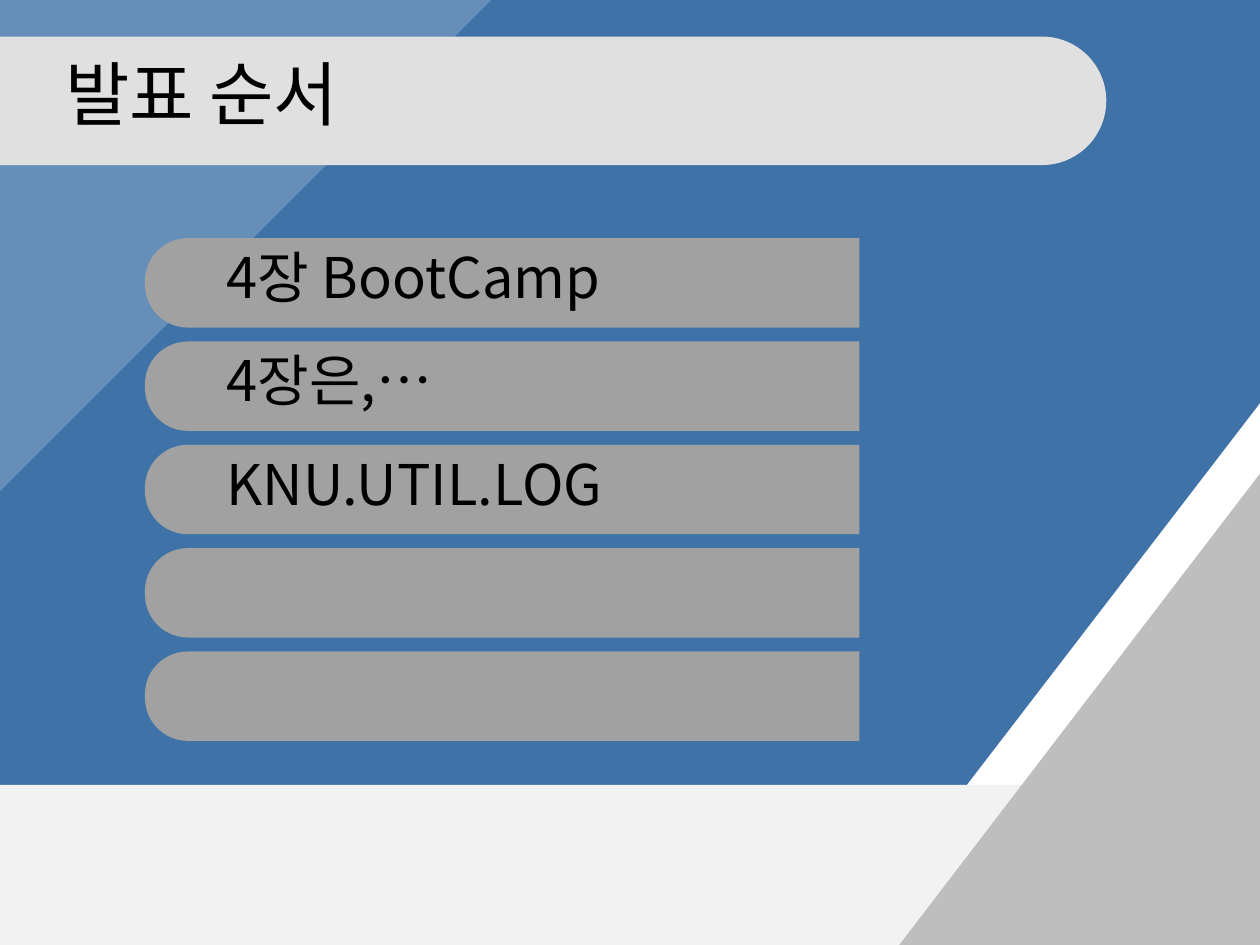
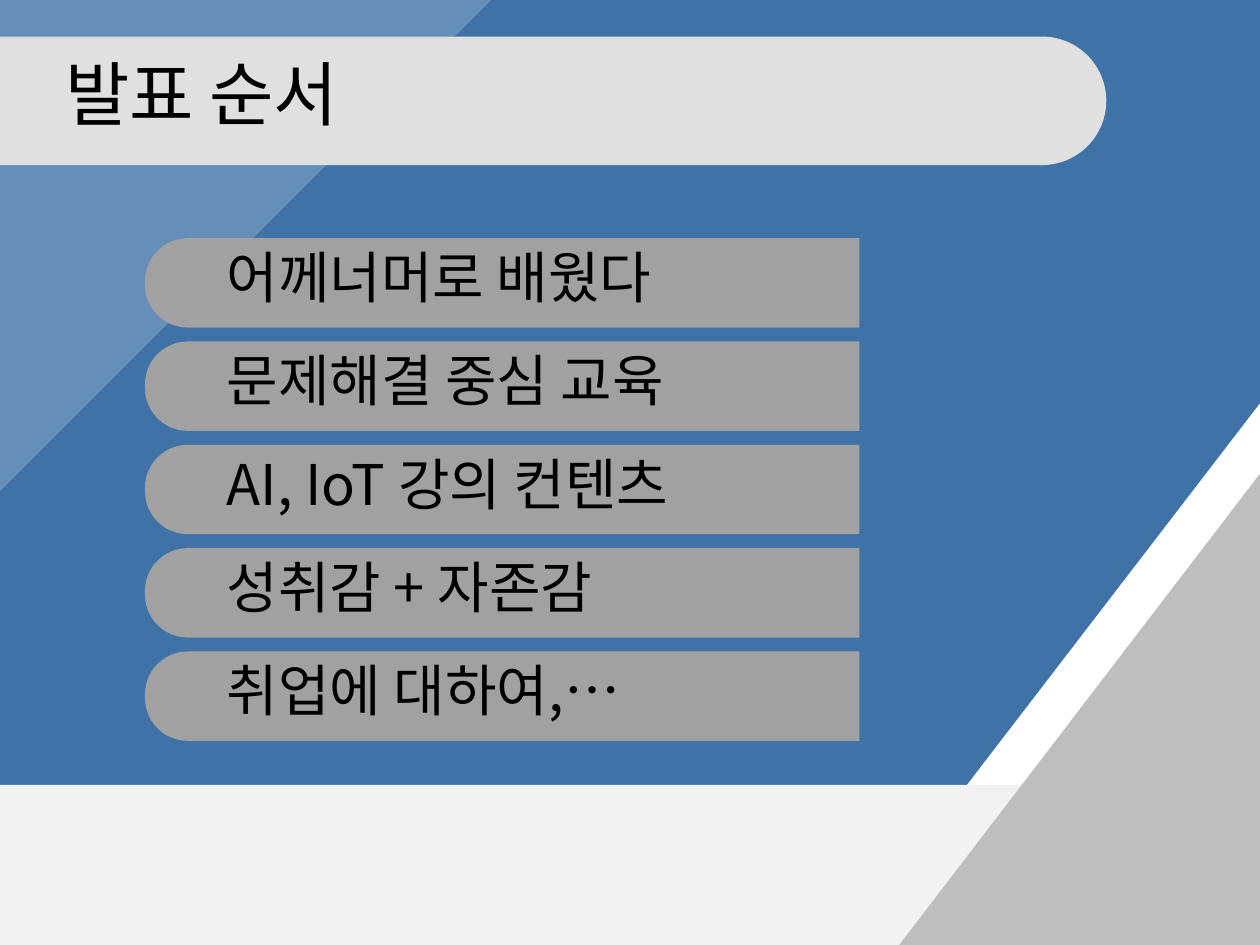
import pptx
import pptx.dml.color
import pptx.enum.shapes
import pptx.enum.text
import pptx.oxml.ns
import pptx.util
from lxml import etree

Inches = pptx.util.Inches
SHAPES = pptx.enum.shapes.MSO_SHAPE

# Content
TITLE = "발표 순서"
AGENDAS = [
    ["4장 BootCamp", "4장은,…", "KNU.UTIL.LOG", "", ""],
    ["어께너머로 배웠다", "문제해결 중심 교육", "AI, IoT 강의 컨텐츠",
     "성취감 + 자존감", "취업에 대하여,…"],
]

# Shared style
FONT = "Noto Sans CJK KR"
BLUE, FOOTER, CORNER = "3F73A7", "F2F2F2", "BEBEBE"
TITLE_BAND, ITEM_BAND, WHITE, BLACK = "E0E0E0", "A1A1A1", "FFFFFF", "000000"
BACKDROP = [(0, -0.03), (10, -0.03), (10, 3.2), (7.52, 6.43), (0, 6.43)]

# Agenda rows
ITEM_LEFT, ITEM_TOP, ITEM_WIDTH, ITEM_HEIGHT = 1.15, 1.89, 5.67, 0.71
ITEM_PITCH = 0.82


def rgb(color):
    return pptx.dml.color.RGBColor.from_string(color)


def paint(shape, color):
    shape.shadow.inherit = False
    shape.fill.solid()
    shape.fill.fore_color.rgb = rgb(color)
    shape.line.fill.background()


def add_shape(slide, kind, box, color):
    shape = slide.shapes.add_shape(kind, *map(Inches, box))
    paint(shape, color)
    return shape


def add_band(slide, box, color, right_round, left_round):
    """Lay a round-ended band on its side; box is its place as seen."""
    left, top, width, height = box
    shift = (width - height) / 2
    upright = (left + shift, top - shift, height, width)
    band = add_shape(slide, SHAPES.ROUND_2_SAME_RECTANGLE, upright, color)
    band.rotation = 90
    band.adjustments[0] = right_round
    band.adjustments[1] = left_round


def add_text(slide, box, text, size):
    frame = slide.shapes.add_textbox(*map(Inches, box)).text_frame
    frame.word_wrap = True
    frame.vertical_anchor = pptx.enum.text.MSO_ANCHOR.MIDDLE
    paragraph = frame.paragraphs[0]
    paragraph.alignment = pptx.enum.text.PP_ALIGN.JUSTIFY
    paragraph.line_spacing = 0.9
    run = paragraph.add_run()
    run.text = text
    run.font.size = pptx.util.Pt(size)
    run.font.color.rgb = rgb(BLACK)
    run.font.name = FONT
    # Hangul takes the East Asian typeface
    properties = run.font._element
    etree.SubElement(properties, pptx.oxml.ns.qn("a:ea"), typeface=FONT)


def add_background(slide):
    start, *corners = [tuple(map(Inches, point)) for point in BACKDROP]
    builder = slide.shapes.build_freeform(*start)
    builder.add_line_segments(corners, close=True)
    paint(builder.convert_to_shape(), BLUE)

    add_shape(slide, SHAPES.RECTANGLE, (0, 6.23, 10, 1.27), FOOTER)
    corner = add_shape(slide, SHAPES.RIGHT_TRIANGLE, (7.13, 3.76, 2.87, 3.75), CORNER)
    corner.element.spPr.get_or_add_xfrm().set("flipH", "1")

    # Translucent light across the top left
    light = add_shape(slide, SHAPES.RIGHT_TRIANGLE, (0, 0, 3.9, 3.9), WHITE)
    light.rotation = 90
    tint = light.element.spPr.find(".//" + pptx.oxml.ns.qn("a:srgbClr"))
    etree.SubElement(tint, pptx.oxml.ns.qn("a:alpha"), val="20000")


def add_agenda(slide, items):
    for row, item in enumerate(items):
        top = ITEM_TOP + row * ITEM_PITCH
        add_band(slide, (ITEM_LEFT, top, ITEM_WIDTH, ITEM_HEIGHT), ITEM_BAND, 0, 0.48)
        if item:
            add_text(slide, (ITEM_LEFT + 0.55, top + 0.07, 4.96, 0.53), item, 32)


def main():
    deck = pptx.Presentation()
    deck.slide_width, deck.slide_height = Inches(10), Inches(7.5)
    for items in AGENDAS:
        slide = deck.slides.add_slide(deck.slide_layouts[6])
        add_background(slide)
        add_band(slide, (0, 0.29, 8.78, 1.02), TITLE_BAND, 0.5, 0)
        add_text(slide, (0.42, 0.44, 3.01, 0.68), TITLE, 40)
        add_agenda(slide, items)
    deck.save("out.pptx")


if __name__ == "__main__":
    main()
